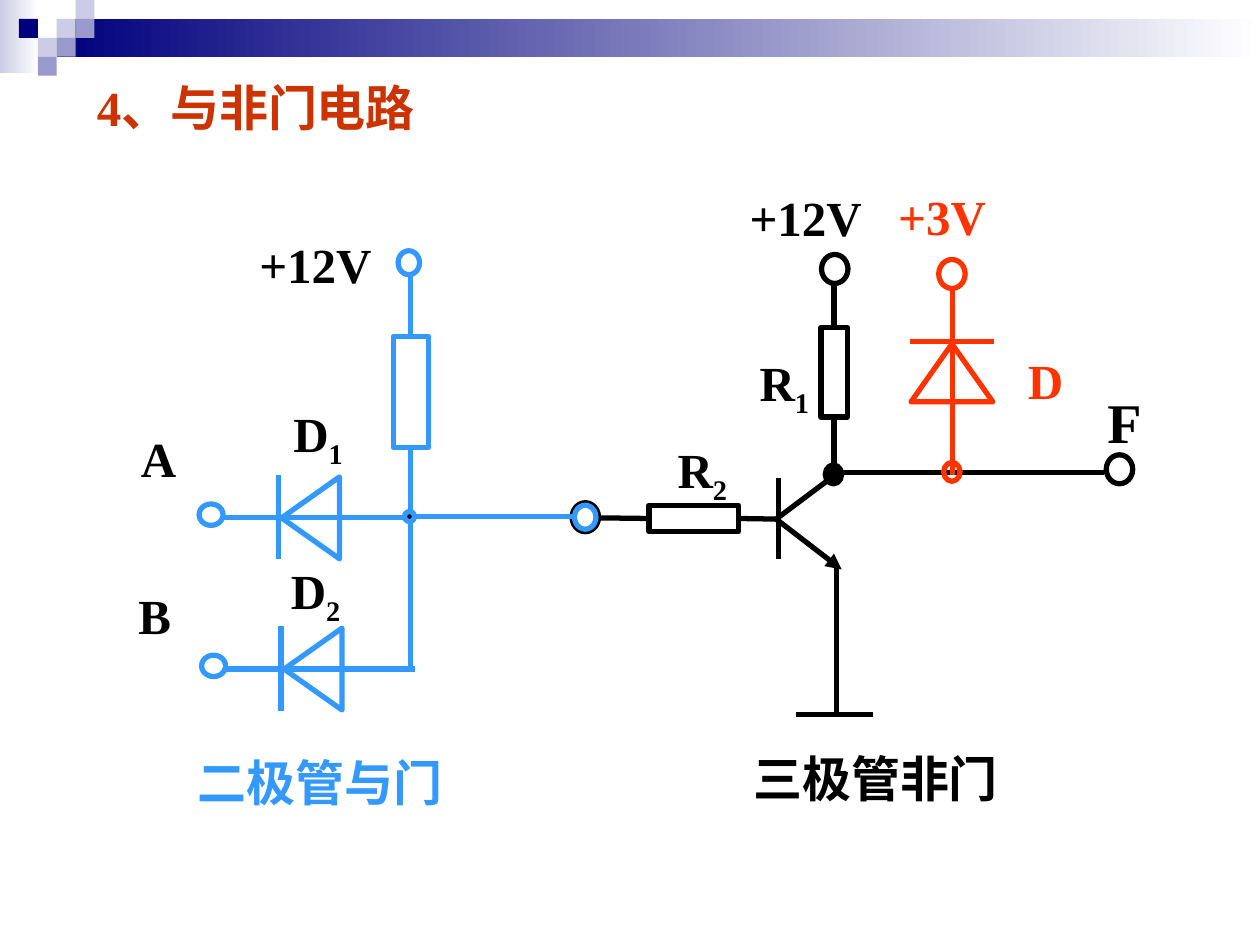
from dataclasses import dataclass

import pptx
import pptx.dml.color
import pptx.enum.dml
import pptx.enum.shapes
import pptx.enum.text
import pptx.oxml
import pptx.oxml.ns
import pptx.util

SHAPE = pptx.enum.shapes.MSO_SHAPE
BLACK, BLUE, RED, TITLE = "000000", "3399FF", "FF3300", "CC3300"
NAVY, LILAC, VIOLET, WHITE = "00007D", "CCCCE6", "9999CC", "FFFFFF"
TOP, LEFT, BOTTOM, RIGHT = range(4)

deck = pptx.Presentation()
deck.slide_width, deck.slide_height = pptx.util.Inches(10), pptx.util.Inches(7.5)
CELL = deck.slide_width / 100  # the page is a grid of 100 columns by 75 rows
TILE = 1.5  # side of a header tile, in cells
page = deck.slides.add_slide(deck.slide_layouts[6])


@dataclass
class Part:
    """A shape placed by its centre, in grid cells."""
    column: float
    row: float
    width: float
    height: float
    color: str
    kind: int = SHAPE.OVAL
    fill: str = ""
    turn: float = 0


@dataclass
class Wire:
    """A straight line; start and end may name a (shape, side) to join."""
    x1: float
    y1: float
    x2: float
    y2: float
    color: str
    start: tuple = ()
    end: tuple = ()
    arrow: bool = False


@dataclass
class Label:
    column: float
    row: float
    width: float
    text: str
    color: str = BLACK
    subscript: str = ""
    size: float = 28


def cells(count: float) -> int:
    return round(count * CELL)


def rgb(color: str) -> pptx.dml.color.RGBColor:
    return pptx.dml.color.RGBColor.from_string(color)


def draw_part(part: Part):
    shape = page.shapes.add_shape(
        part.kind, cells(part.column - part.width / 2), cells(part.row - part.height / 2),
        cells(part.width), cells(part.height))
    shape.shadow.inherit = False
    shape.rotation = part.turn
    shape.line.color.rgb = rgb(part.color)
    shape.line.width = pptx.util.Pt(3)
    if part.fill:
        shape.fill.solid()
        shape.fill.fore_color.rgb = rgb(part.fill)
    else:
        shape.fill.background()
    return shape


def draw_wire(wire: Wire) -> None:
    line = page.shapes.add_connector(
        pptx.enum.shapes.MSO_CONNECTOR.STRAIGHT,
        cells(wire.x1), cells(wire.y1), cells(wire.x2), cells(wire.y2))
    if wire.start:
        line.begin_connect(*wire.start)
    if wire.end:
        line.end_connect(*wire.end)
    line.line.color.rgb = rgb(wire.color)
    line.line.width = pptx.util.Pt(3)
    if wire.arrow:
        tip = pptx.oxml.parse_xml(
            f'<a:tailEnd {pptx.oxml.ns.nsdecls("a")} type="triangle"/>')
        line.line._get_or_add_ln().append(tip)
    line._element.spPr.append(
        pptx.oxml.parse_xml(f'<a:effectLst {pptx.oxml.ns.nsdecls("a")}/>'))


def draw_label(label: Label) -> None:
    box = page.shapes.add_textbox(
        cells(label.column), cells(label.row), cells(label.width), cells(5.7))
    frame = box.text_frame
    frame.word_wrap = True
    frame.auto_size = pptx.enum.text.MSO_AUTO_SIZE.SHAPE_TO_FIT_TEXT
    para = frame.paragraphs[0]
    for text, baseline in ((label.text, ""), (label.subscript, "-25000")):
        if not text:
            continue
        span = para.add_run()
        span.text = text
        span.font.name = "Times New Roman"
        span.font.size = pptx.util.Pt(label.size)
        span.font.bold = True
        span.font.color.rgb = rgb(label.color)
        if baseline:
            span._r.get_or_add_rPr().set("baseline", baseline)


def draw_band(left: float, top: float, width: float, height: float, *colors: str) -> None:
    """Header block: one colour is solid, two run from left to right."""
    band = page.shapes.add_shape(
        SHAPE.RECTANGLE, cells(left), cells(top), cells(width), cells(height))
    band.shadow.inherit = False
    band.line.fill.background()
    if len(colors) == 1:
        band.fill.solid()
        band.fill.fore_color.rgb = rgb(colors[0])
        return
    band.fill.gradient()
    band.fill.gradient_angle = 0
    for stop, color in zip(band.fill.gradient_stops, colors):
        stop.color.rgb = rgb(color)


def draw_input_diode(shift: float, drop: float) -> None:
    """Input terminal, lead and diode pointing left."""
    draw_wire(Wire(22.1 + shift, 37.7 + drop, 22.1 + shift, 44.4 + drop, BLUE))
    draw_part(Part(24.65 + shift, 41.1 + drop, 6.5, 4.6, BLUE,
                   SHAPE.ISOSCELES_TRIANGLE, turn=270))
    draw_wire(Wire(17.7 + shift, 41.1 + drop, 32.7 + shift, 41.1 + drop, BLUE))
    draw_part(Part(16.75 + shift, 40.85 + drop, 1.9, 1.7, BLUE))


# Header bands and tiles
draw_band(0, 0, 3.1, 5.8, LILAC, WHITE)
draw_band(4.5, 1.5, 95.5, 3, NAVY, WHITE)
for tile_column, tile_row, tile_color in (
        (3, 1, LILAC), (4, 0, LILAC), (4, 1, VIOLET), (2, 2, LILAC),
        (1, 1, NAVY), (3, 2, VIOLET), (2, 3, VIOLET)):
    draw_band(tile_column * TILE, tile_row * TILE, TILE, TILE, tile_color)

# Transistor inverter: resistors, then terminals and junction
r1 = draw_part(Part(66.2, 29.55, 2.1, 7.1, BLACK, SHAPE.RECTANGLE))
r2 = draw_part(Part(55.05, 41.15, 7.1, 2.1, BLACK, SHAPE.RECTANGLE))
for part in (
        Part(66.15, 37.65, 1.3, 1.5, BLACK, fill=BLACK),
        Part(46.45, 41.05, 2.1, 2.3, BLACK),
        Part(88.85, 37.25, 2.1, 2.3, BLACK),
        Part(66.25, 21.35, 2.1, 2.3, BLACK)):
    draw_part(part)
for wire in (
        Wire(61.8, 37.9, 61.8, 44.4, BLACK),
        Wire(61.6, 41.2, 66.8, 45.2, BLACK, arrow=True),
        Wire(61.6, 41.2, 66.8, 37.3, BLACK),
        Wire(61.6, 41.2, 58.6, 41.2, BLACK, end=(r2, RIGHT)),
        Wire(51.5, 41.1, 47.4, 41.1, BLACK, start=(r2, LEFT)),
        Wire(66.1, 37.5, 87.6, 37.5, BLACK),
        Wire(66.4, 44.9, 66.4, 56.7, BLACK),
        Wire(63.2, 56.7, 69.3, 56.7, BLACK),
        Wire(66.2, 33.1, 66.2, 37.5, BLACK, start=(r1, BOTTOM)),
        Wire(66.2, 26, 66.2, 22.5, BLACK, start=(r1, TOP))):
    draw_wire(wire)

# Clamping diode
draw_wire(Wire(78.9, 27.1, 72.2, 27.1, RED))
draw_part(Part(75.55, 29.6, 6.5, 4.6, RED, SHAPE.ISOSCELES_TRIANGLE))
draw_wire(Wire(75.6, 22.9, 75.6, 37.7, RED))
draw_part(Part(75.55, 37.45, 1.3, 1.5, RED))
draw_part(Part(75.55, 21.75, 2.1, 2.3, RED))

# Diode AND gate
draw_input_diode(0.2, 12)
draw_input_diode(0, 0)
load = draw_part(Part(32.6, 31.1, 2.8, 8.8, BLUE, SHAPE.RECTANGLE))
draw_wire(Wire(32.3, 41, 45.8, 41, BLUE))
draw_wire(Wire(32.6, 53, 32.6, 35.5, BLUE, end=(load, BOTTOM)))
draw_wire(Wire(32.6, 26.7, 32.6, 21.7, BLUE, start=(load, TOP)))
draw_part(Part(32.45, 20.85, 1.7, 1.9, BLUE))
draw_part(Part(32.5, 41, 0.8, 0.8, BLUE, fill=BLACK))
draw_part(Part(46.45, 41.05, 1.7, 1.9, BLUE))

# Labels
for label in (
        Label(6.7, 5.7, 40.4, "4、与非门电路", TITLE),
        Label(19.6, 18.1, 14.4, "+12V"), Label(58.5, 14.4, 12.5, "+12V"),
        Label(70.3, 14.3, 12.5, "+3V", RED), Label(80.6, 27.3, 5.2, "D", RED),
        Label(59.3, 27.5, 6.5, "R", subscript="1"),
        Label(52.8, 34.4, 6.5, "R", subscript="2"),
        Label(22.3, 31.5, 6.9, "D", subscript="1"),
        Label(22.1, 44, 6.9, "D", subscript="2"),
        Label(10.2, 33.5, 6, "A"), Label(10, 46, 6, "B"),
        Label(86.9, 30.3, 6.6, "F", size=32),
        Label(14.7, 59.2, 26.3, "二极管与门", BLUE),
        Label(58.8, 58.9, 26.7, "三极管非门")):
    draw_label(label)

deck.save("out.pptx")
